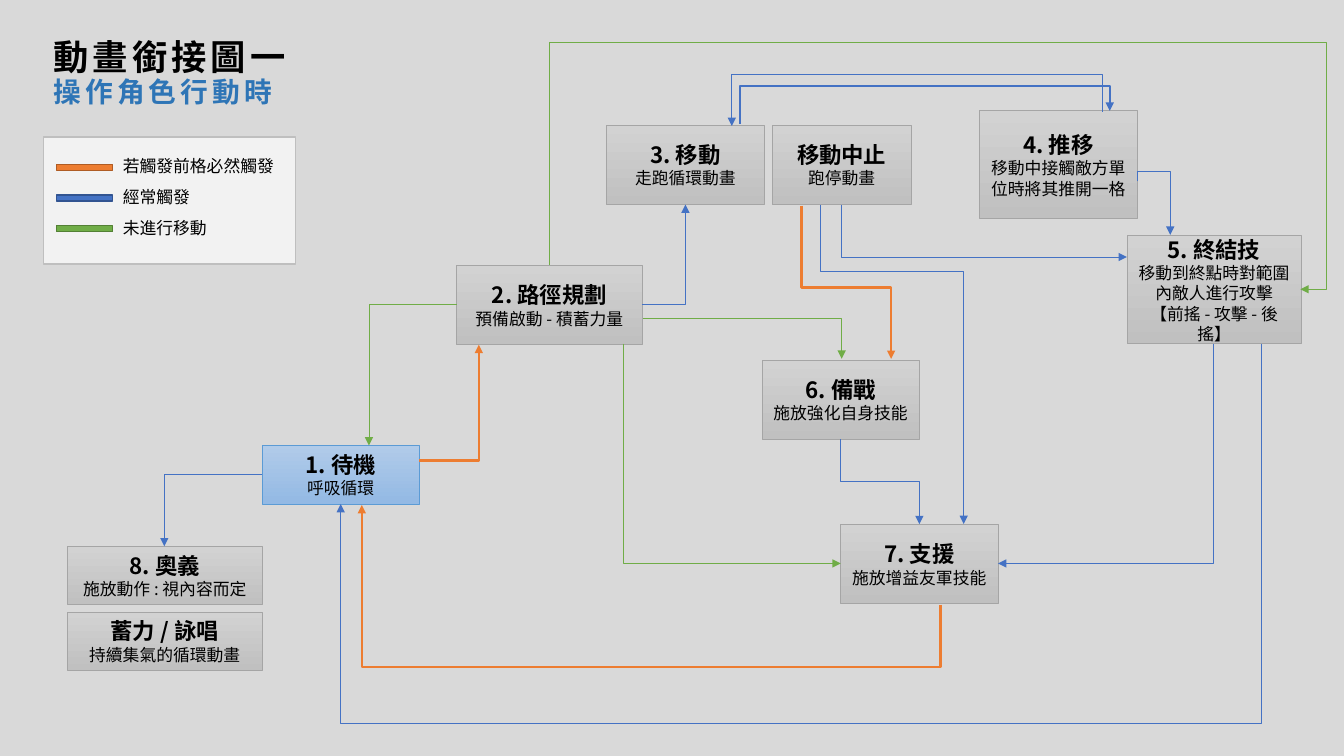
import copy
import pptx
import pptx.util
import pptx.dml.color
import pptx.enum.text
import pptx.enum.shapes
import pptx.oxml.ns
import lxml.etree

HUES = {
    "back": "D9D9D9", "panel": "F2F2F2", "rim": "BFBFBF", "ink": "000000", "sub": "2E75B6",
    "must": "ED7D31", "often": "4472C4", "still": "70AD47",
    "must rim": "AF5C24", "often rim": "325491", "still rim": "538035",
}
FACES = {"grey": ("D2D2D2", "C0C0C0", "A5A5A5"), "blue": ("B1CBE9", "93B9E4", "5B9BD5")}
FONT = "Noto Sans CJK SC"
CELL = pptx.util.Inches(0.1)
COLS, ROWS = 133.33, 75
RECT = pptx.enum.shapes.MSO_SHAPE.RECTANGLE
ELBOW = pptx.enum.shapes.MSO_CONNECTOR.ELBOW
MID = pptx.enum.text.MSO_ANCHOR.MIDDLE
MAIN = {"size": pptx.util.Pt(16), "bold": True}
BODY = {"size": pptx.util.Pt(12), "bold": False}

NODES = [
    ((26, 44.2, 15.6, 5.8), "blue", "1. 待機", "呼吸循環"),
    ((45.3, 26.3, 18.4, 7.9), "grey", "2. 路徑規劃", "預備啟動 - 積蓄力量"),
    ((60.2, 12.4, 15.6, 7.9), "grey", "3. 移動", "走跑循環動畫"),
    ((76.6, 12.4, 13.8, 7.9), "grey", "移動中止", "跑停動畫"),
    ((97.2, 11, 15.6, 10.7), "grey", "4. 推移", "移動中接觸敵方單位時將其推開一格"),
    ((111.8, 23.4, 17.3, 10.7), "grey", "5. 終結技",
     "移動到終點時對範圍內敵人進行攻擊\n【前搖 - 攻擊 - 後搖】"),
    ((75.6, 35.7, 15.6, 7.9), "grey", "6. 備戰", "施放強化自身技能"),
    ((83.4, 52, 15.6, 7.9), "grey", "7. 支援", "施放增益友軍技能"),
    ((6.7, 54.2, 19.3, 5.8), "grey", "8. 奧義", "施放動作 : 視內容而定"),
    ((6.7, 60.7, 19.3, 5.8), "grey", "蓄力 / 詠唱", "持續集氣的循環動畫"),
]

ROUTES = [
    ("must", 1.75, (41.6, 45.7), "x", (47.5, 34.2)),
    ("often", 0.5, (112.8, 18), "y", (17, 116.1, 23.3)),
    ("often", 0.5, (63.7, 30.2), "x", (68, 20.3)),
    ("still", 0.5, (63.8, 31.6), "x", (83.5, 35.6)),
    ("still", 0.5, (61.8, 34.1), "y", (55.9, 83.4)),
    ("often", 0.5, (83.4, 43.6), "y", (47.8, 91.2, 52)),
    ("still", 0.5, (54.5, 26.3), "y", (4.2, 131.6, 28.7, 129)),
    ("must", 1.75, (79.5, 20.4), "y", (28.5, 88.4, 35.6)),
    ("often", 0.5, (81.4, 20.3), "y", (26.9, 95.6, 52)),
    ("often", 0.5, (109.4, 11.1), "y", (7.4, 72.6, 12.5)),
    ("often", 1.5, (73.4, 12.3), "y", (8.5, 110.1, 11)),
    ("often", 0.5, (120.4, 34.1), "y", (55.9, 99)),
    ("often", 0.5, (125.1, 34.1), "y", (71.8, 33.8, 50)),
    ("must", 1.75, (93.3, 60), "y", (66.2, 35.9, 50.1)),
    ("often", 0.5, (26, 47.1), "x", (16.3, 54.2)),
    ("still", 0.5, (45.3, 30.2), "x", (36.6, 44.2)),
    ("often", 0.5, (83.5, 20.3), "y", (25.5, 111.8)),
]


def hue(code):
    return pptx.dml.color.RGBColor.from_string(code)


def units(box):
    return [round(n * CELL) for n in box]


def apply(thing, form):
    for key, value in form.items():
        setattr(thing, key, value)


def add_run(para, text, form, shade="ink", gap=None):
    for i, part in enumerate(text.split("\n")):
        if i:
            para.add_line_break()
            para._p[-1].append(copy.deepcopy(run._r.rPr))
        run = para.add_run()
        run.text = part
        apply(run.font, {"name": FONT, **form})
        run.font.color.rgb = hue(HUES[shade])
        props = run._r.rPr
        lxml.etree.SubElement(props, pptx.oxml.ns.qn("a:ea"), typeface=FONT)
        if gap:
            props.set("spc", str(gap * 100))


def add_rect(page, box, fill, rim, width):
    shape = page.shapes.add_shape(RECT, *units(box))
    shape.shadow.inherit = False
    if fill:
        shape.fill.solid()
        shape.fill.fore_color.rgb = hue(fill)
    shape.line.color.rgb = hue(rim)
    shape.line.width = pptx.util.Pt(width)
    return shape


def add_title(page, box):
    frame = page.shapes.add_textbox(*units(box)).text_frame
    apply(frame, {"word_wrap": True, "vertical_anchor": MID})
    para = frame.paragraphs[0]
    para.line_spacing = 0.9
    add_run(para, "動畫銜接圖一", {"size": pptx.util.Pt(25.2), "bold": True}, gap=3)
    para.add_line_break()
    add_run(para, "操作角色行動時", {"size": pptx.util.Pt(19.8), "bold": True}, "sub", 3)


def add_legend(page, box):
    left, top, wide, high = box
    add_rect(page, box, HUES["panel"], HUES["rim"], 1)
    rows = [("must", "若觸發前格必然觸發"), ("often", "經常觸發"), ("still", "未進行移動")]
    for i, (kind, text) in enumerate(rows):
        y = top + 2.7 + i * 3.05
        add_rect(page, (left + 1.3, y, 5.6, 0.6), HUES[kind], HUES[kind + " rim"], 1)
        label = page.shapes.add_textbox(*units((left + 6.9, y - 1.3, wide - 7.8, 3)))
        label.text_frame.word_wrap = False
        add_run(label.text_frame.paragraphs[0], text, BODY)


def add_node(page, box, face, head, body):
    first, last, rim = FACES[face]
    shape = add_rect(page, box, None, rim, 0.5)
    shape.fill.gradient()
    shape.fill.gradient_angle = 270
    for stop, code, place in zip(shape.fill.gradient_stops, (first, last), (0, 1)):
        stop.color.rgb = hue(code)
        stop.position = place
    frame = shape.text_frame
    apply(frame, {"word_wrap": True, "vertical_anchor": MID})
    for para, text, form in ((frame.paragraphs[0], head, MAIN), (frame.add_paragraph(), body, BODY)):
        para.alignment = pptx.enum.text.PP_ALIGN.CENTER
        add_run(para, text, form)


def add_route(page, kind, width, start, axis, turns):
    qn = pptx.oxml.ns.qn
    lead = "xy".index(axis)
    end = list(start)
    for i, turn in enumerate(turns):
        end[(lead + i) % 2] = turn
    span = [end[0] - start[0], end[1] - start[1]]
    if lead:
        spin = 270 if min(span) > 0 else 90
        flips = [span[1] < 0, span[0] > 0]
    else:
        spin = 180 if span[0] < 0 else 0
        flips = [span[0] < 0, span[1] < 0]
    if spin >= 180:
        flips = [not flip for flip in flips]
    wide, high = abs(span[lead]), abs(span[1 - lead])
    left = (start[0] + end[0] - wide) / 2
    top = (start[1] + end[1] - high) / 2
    link = page.shapes.add_connector(ELBOW, *units((left, top, left + wide, top + high)))
    link.rotation = spin
    link.line.color.rgb = hue(HUES[kind])
    link.line.width = pptx.util.Pt(width)
    props = link._element.spPr
    for name, flip in zip(("flipH", "flipV"), flips):
        if flip:
            props.find(qn("a:xfrm")).set(name, "1")
    shape = props.find(qn("a:prstGeom"))
    shape.set("prst", f"bentConnector{len(turns)}")
    guides = shape.find(qn("a:avLst"))
    for i, turn in enumerate(turns[:-2]):
        side = (lead + i) % 2
        share = round((turn - start[side]) / span[side] * 100000)
        lxml.etree.SubElement(guides, qn("a:gd"), name=f"adj{i + 1}", fmla=f"val {share}")
    lxml.etree.SubElement(props.find(qn("a:ln")), qn("a:tailEnd"), type="triangle")
    lxml.etree.SubElement(props, qn("a:effectLst"))


def main():
    deck = pptx.Presentation()
    deck.slide_width, deck.slide_height = units((COLS, ROWS))
    page = deck.slides.add_slide(deck.slide_layouts[6])
    page.background.fill.solid()
    page.background.fill.fore_color.rgb = hue(HUES["back"])
    add_title(page, (4.3, 5.1, 115, 4.5))
    add_legend(page, (4.3, 13.6, 25, 12.6))
    for node in NODES:
        add_node(page, *node)
    for route in ROUTES:
        add_route(page, *route)
    deck.save("out.pptx")


if __name__ == "__main__":
    main()
